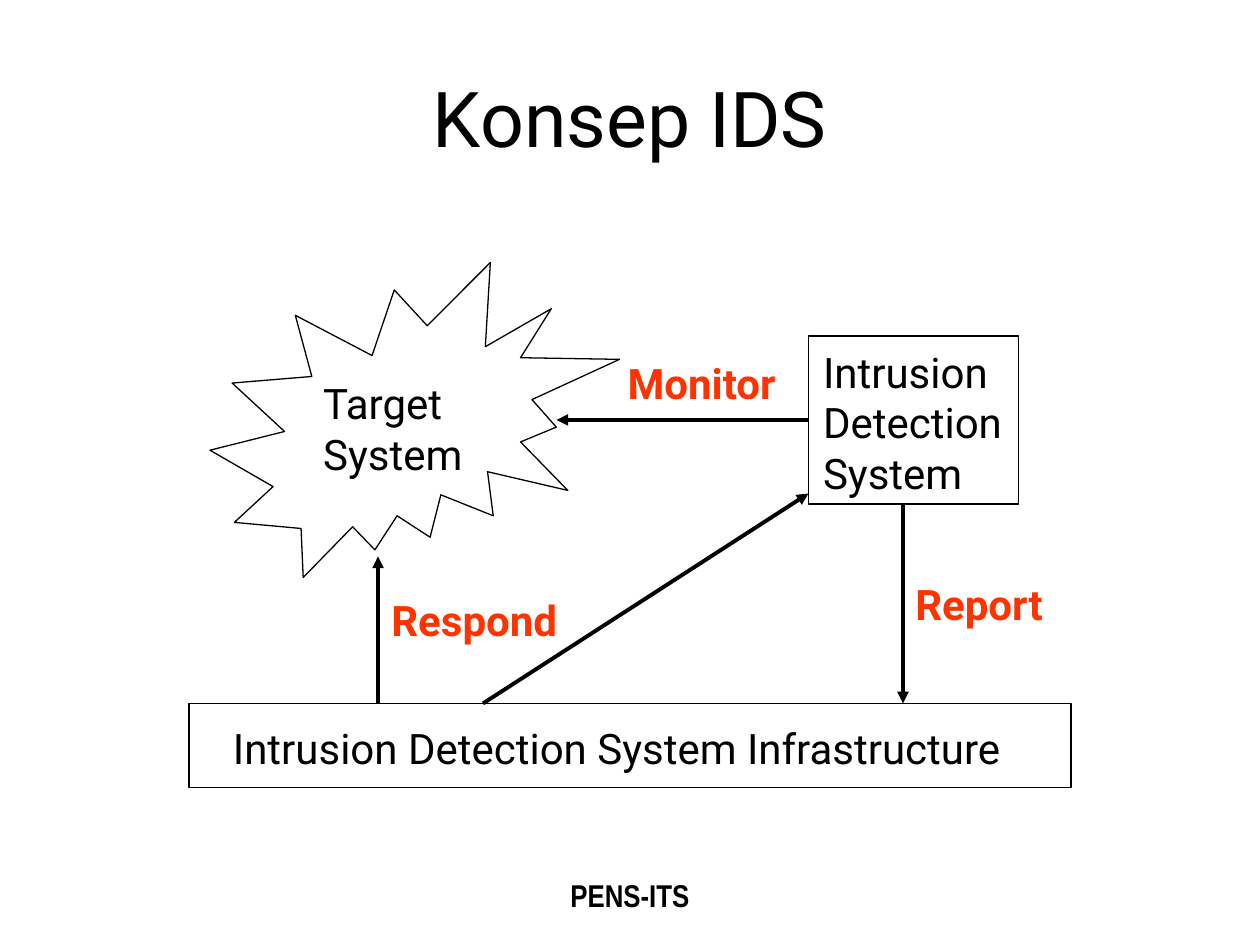
from lxml import etree
from pptx import Presentation
from pptx import util as u
from pptx.dml.color import RGBColor
from pptx.enum import shapes, text
from pptx.oxml import ns

BLACK = RGBColor(0x00, 0x00, 0x00)
ORANGE = RGBColor(0xFF, 0x33, 0x00)

deck = Presentation()
deck.slide_width, deck.slide_height = u.Inches(10), u.Inches(7.5)
page = deck.slides.add_slide(deck.slide_layouts[6])
CELL = deck.slide_width / 120  # the page is a grid of 120 columns by 90 rows


def grid(*cells):
    """Turn columns and rows of the grid into lengths."""
    return [u.Emu(round(cell * CELL)) for cell in cells]


def add_text(place, lines, size=24, color=BLACK, bold=False, font="Roboto", centered=False):
    """Centred text wraps in its box; other text has a box that fits it."""
    box = page.shapes.add_textbox(*grid(*place))
    frame = box.text_frame
    frame.word_wrap = centered
    if not centered:
        frame.auto_size = text.MSO_AUTO_SIZE.SHAPE_TO_FIT_TEXT
    frame.text = "\n".join(lines)
    for para in frame.paragraphs:
        para.alignment = text.PP_ALIGN.CENTER if centered else text.PP_ALIGN.LEFT
        para.font.name = font
        para.font.size = u.Pt(size)
        para.font.bold = bold
        para.font.color.rgb = color
    return box


title = add_text((6, 3.6, 108, 15), ["Konsep IDS"], size=44, centered=True)
title.text_frame.vertical_anchor = text.MSO_ANCHOR.MIDDLE
add_text((41, 82.8, 38, 6.2), ["PENS-ITS"], size=18, bold=True,
         font="Arial Narrow", centered=True)

# Systems: outline, its place, place of its text, lines of text
SYSTEMS = [
    (shapes.MSO_SHAPE.EXPLOSION2, (20, 25, 39, 30),
     (29.6, 35.4, 16, 10.8), ["Target", "System"]),
    (shapes.MSO_SHAPE.RECTANGLE, (77, 32, 20, 16),
     (77.2, 32.4, 20.5, 15.6), ["Intrusion", "Detection", "System"]),
    (shapes.MSO_SHAPE.RECTANGLE, (18, 67, 84, 8),
     (21, 68.2, 80.8, 6), ["Intrusion Detection System Infrastructure"]),
]
for kind, place, text_place, lines in SYSTEMS:
    outline = page.shapes.add_shape(kind, *grid(*place))
    outline.shadow.inherit = False
    outline.fill.background()
    outline.line.color.rgb = BLACK
    outline.line.width = u.Pt(0.75)
    add_text(text_place, lines)

# Arrows: start column and row, end column and row
ARROWS = [
    (77, 40, 53, 40),  # monitor
    (36, 67, 36, 53),  # respond
    (46, 67, 77, 47),  # infrastructure to detection
    (86, 48, 86, 67),  # report
]
for ends in ARROWS:
    arrow = page.shapes.add_connector(shapes.MSO_CONNECTOR.STRAIGHT, *grid(*ends))
    arrow.line.color.rgb = BLACK
    arrow.line.width = u.Pt(2.25)
    etree.SubElement(arrow.line._get_or_add_ln(), ns.qn("a:tailEnd"), type="triangle")
    etree.SubElement(arrow._element.spPr, ns.qn("a:effectLst"))

LABELS = [
    ("Monitor", 58.6, 33.5, 18.5),
    ("Respond", 36.1, 56, 19.6),
    ("Report", 86, 54.5, 16),
]
for label, column, row, width in LABELS:
    add_text((column, row, width, 6), [label], color=ORANGE, bold=True)

deck.save("out.pptx")
